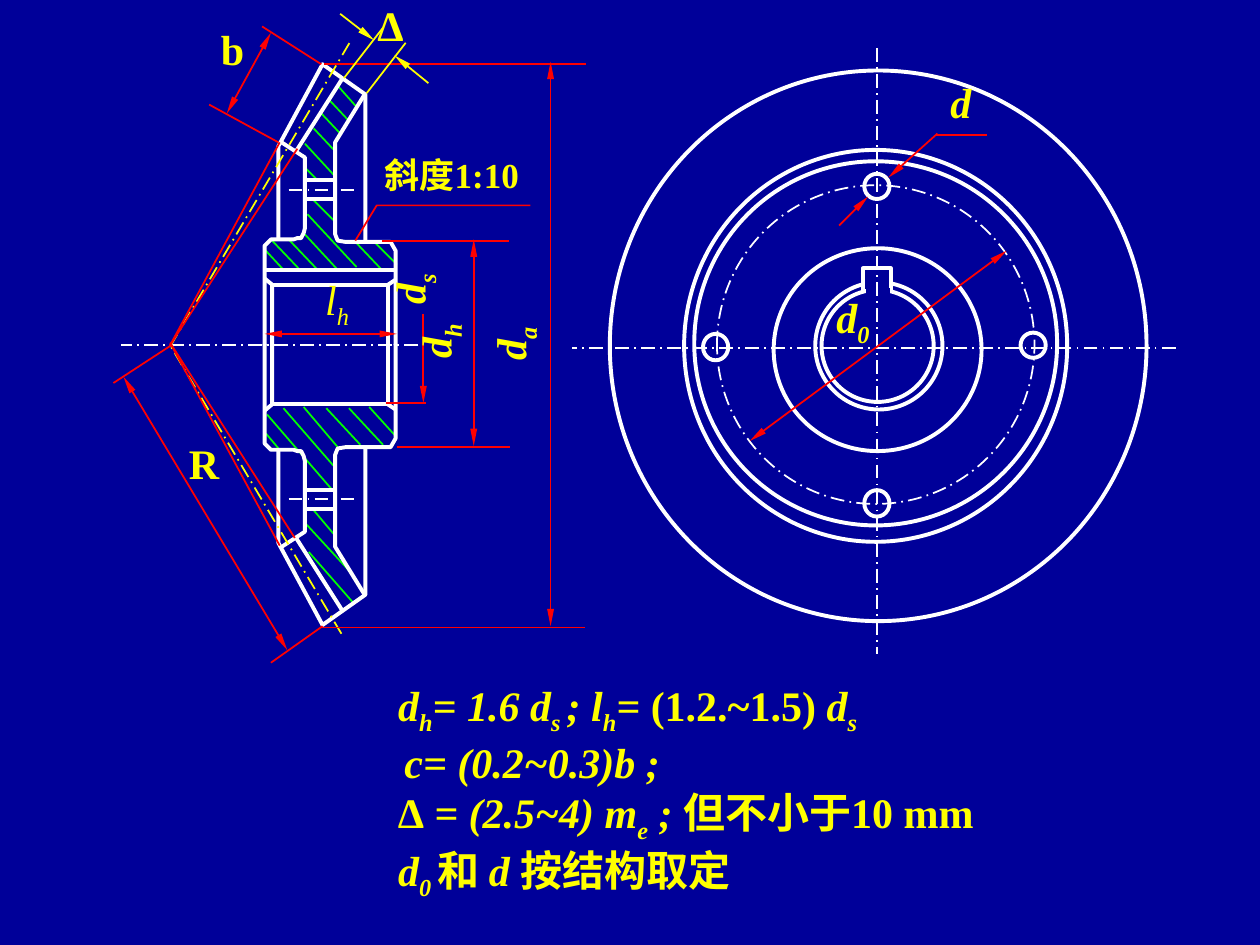
"""Build a slide showing a bevel gear in section and face view with its design rules."""
from dataclasses import dataclass

from lxml.etree import SubElement
from pptx import Presentation
from pptx.dml.color import RGBColor
from pptx.enum.dml import MSO_LINE_DASH_STYLE as Dash
from pptx.enum.shapes import MSO_CONNECTOR as Connector, MSO_SHAPE as Shape
from pptx.enum.text import MSO_AUTO_SIZE as AutoSize, PP_ALIGN as Align
from pptx.oxml.ns import qn
from pptx.util import Pt

PX = 9144
SLIDE = (1000, 750)
MIRROR = 547


@dataclass(frozen=True)
class Theme:
    back: str = "000099"
    edge: str = "FFFFFF"
    measure: str = "FF0000"
    hatch: str = "00FF00"
    label: str = "FFFF00"
    font: str = "Times New Roman"
    big: int = 24
    small: int = 20
    thick: float = 2.25
    thin: float = 1
    cover: float = 6


THEME = Theme()

RULES = [
    (0, [("d", "bi"), ("h", "bi_"), ("= 1.6 d", "bi"), ("s ", "bi_"), ("; l", "bi"),
         ("h", "bi_"), ("= ", "bi"), ("(1.2.~1.5)", "b"), (" d", "bi"), ("s", "bi_")]),
    (5, [("c= (0.2~0.3)b ;", "bi")]),
    (0, [("∆", "b"), (" = (2.5~4) m", "bi"), ("e", "bi_"), (" ; ", "bi"),
         ("但不小于10 mm", "b")]),
    (0, [("d", "bi"), ("0 ", "bi_"), ("和 ", "b"), ("d ", "bi"), ("按结构取定", "b")]),
]
RULES_BOX = (316, 539, 510, 187)

LABELS = [
    ((754, 61, 17, 45), 0, THEME.big, [("d", "bi")]),
    ((664, 231, 26, 51), 0, THEME.big, [("d", "bi"), ("0", "bi_")]),
    ((150, 347, 24, 45), 0, THEME.big, [("R", "b")]),
    ((175, 19, 19, 45), 0, THEME.big, [("b", "b")]),
    ((318, 204, 24, 51), 270, THEME.big, [("d", "bi"), ("s", "bi_")]),
    ((337, 245, 27, 51), 270, THEME.big, [("d", "bi"), ("h", "bi_")]),
    ((397, 247, 26, 51), 270, THEME.big, [("d", "bi"), ("a", "bi_")]),
    ((258, 217, 19, 51), 0, THEME.big, [("l", "i"), ("h", "i_")]),
    ((302, 122, 113, 39), 0, THEME.small, [("斜度1:10", "b")]),
    ((287, 0, 46, 40), 0, THEME.big, [("∆", "b")]),
]

BOLT_HOLES = [(810, 264, 20, 20), (686, 389, 20, 21), (686, 138, 20, 20), (558, 265, 20, 21)]
FACE_RINGS = [(484, 56, 426, 437), (543, 119, 304, 311), (551, 128, 288, 289),
              (614, 197, 165, 161), (647, 224, 101, 101), (652, 230, 89, 89)]
BOLT_CIRCLE = (569, 147, 252, 253)
KEYWAY = (685, 213, 22, 18)
KEYWAY_GAP = [(687, 233, 706, 233)]

FACE_AXES = [(696, 38, 696, 519), (933, 276, 454, 276)]
SECTION_AXES = [(332, 274, 96, 274), (229, 396, 283, 396), (229, 151, 283, 151)]
CONE_AXES = [(271, 503, 135, 274), (135, 275, 278, 33)]

HATCHING = [
    (268, 68, 284, 86), (261, 79, 277, 96), (255, 90, 271, 107), (249, 102, 265, 119),
    (242, 114, 266, 140), (243, 134, 252, 143), (249, 159, 266, 176), (283, 193, 302, 213),
    (298, 193, 315, 210), (244, 170, 283, 212), (242, 186, 267, 213), (230, 191, 251, 213),
    (216, 191, 237, 213), (211, 199, 224, 213), (293, 323, 313, 345), (277, 324, 304, 353),
    (225, 324, 265, 370), (241, 323, 269, 356), (259, 324, 286, 353), (212, 329, 263, 388),
    (249, 405, 265, 424), (243, 416, 279, 455), (245, 438, 280, 478), (211, 344, 222, 357),
]

HALF_OUTLINES = [
    [(221, 190), (221, 116), (256, 51), (290, 75), (290, 193)],
    [(314, 274), (314, 199), (310, 192), (274, 192), (268, 191), (266, 186), (266, 179),
     (266, 113), (290, 74)],
    [(210, 274), (210, 195), (215, 190), (233, 190), (236, 189), (239, 189), (241, 185),
     (242, 181), (242, 125), (222, 112)],
    [(216, 274), (216, 226), (210, 221)],
    [(308, 274), (308, 226), (314, 222)],
]
HALF_EDGES = [(216, 226, 308, 226), (242, 158, 266, 158), (242, 143, 266, 143),
              (235, 120, 272, 62)]
KEYWAY_EDGE = [(211, 214, 314, 214)]

CONE_LINES = [(222, 433, 136, 274), (234, 427, 135, 272), (222, 113, 135, 274),
              (135, 274, 236, 118)]
EXTENSIONS = [(255, 51, 208, 21), (221, 113, 166, 83), (257, 51, 465, 51),
              (255, 498, 464, 498), (303, 191, 404, 191), (315, 355, 405, 355),
              (306, 320, 338, 320), (256, 497, 215, 526), (136, 274, 90, 304),
              (743, 107, 783, 107)]
SPANS = [(180, 90, 215, 26), (437, 497, 437, 49), (376, 354, 376, 190),
         (228, 516, 98, 299), (210, 265, 315, 265), (595, 350, 799, 199)]
POINTERS = [(336, 249, 336, 320), (666, 179, 689, 156), (744, 106, 705, 141)]
TAPER_LEADER = [(282, 191), (299, 163), (421, 163)]
OFFSET_LINES = [(273, 62, 304, 22), (291, 74, 322, 34)]
OFFSET_POINTERS = [(270, 11, 297, 32), (340, 66, 313, 44)]


def emu(values):
    return [round(value * PX) for value in values]


def apply(target, values):
    for name, value in values.items():
        setattr(target, name, value)


def stroke(shape, color, width, dash=None):
    shape.line.color.rgb = RGBColor.from_string(color)
    apply(shape.line, {"width": Pt(width), "dash_style": dash})


def draw_lines(page, lines, color, width=THEME.thin, dash=None, ends=()):
    for line in lines:
        connector = page.shapes.add_connector(Connector.STRAIGHT, *emu(line))
        stroke(connector, color, width, dash)
        for end in ends:
            SubElement(connector.line._get_or_add_ln(), qn(f"a:{end}"),
                       type="triangle", w="sm", len="lg")
        SubElement(connector._element.spPr, qn("a:effectLst"))


def draw_outline(page, points, color, width):
    builder = page.shapes.build_freeform(*points[0], scale=PX)
    builder.add_line_segments(points[1:], close=False)
    outline = builder.convert_to_shape()
    outline.fill.background()
    outline.shadow.inherit = False
    stroke(outline, color, width)


def draw_preset(page, kind, place, width=THEME.thick, dash=None, fill=None):
    shape = page.shapes.add_shape(kind, *emu(place))
    shape.shadow.inherit = False
    if fill:
        shape.fill.solid()
        shape.fill.fore_color.rgb = RGBColor.from_string(fill)
    else:
        shape.fill.background()
    stroke(shape, THEME.edge, width, dash)


def write(para, spans, size):
    for text, style in spans:
        span = para.add_run()
        span.text = text
        apply(span.font, {"name": THEME.font, "size": Pt(size),
                          "bold": "b" in style, "italic": "i" in style})
        span.font.color.rgb = RGBColor.from_string(THEME.label)
        if "_" in style:
            span.font._element.set("baseline", "-25000")


def place_text(box, place, wrap):
    apply(box, dict(zip(("left", "top", "width", "height"), emu(place))))
    apply(box.text_frame, {"margin_left": 0, "margin_right": 0, "margin_top": 0,
                           "margin_bottom": 0, "word_wrap": wrap, "auto_size": AutoSize.NONE})


def write_rules(box):
    place_text(box, RULES_BOX, True)
    frame = box.text_frame
    for index, (indent, spans) in enumerate(RULES):
        para = frame.add_paragraph() if index else frame.paragraphs[0]
        properties = para._p.get_or_add_pPr()
        properties.set("marL", str(indent * PX))
        properties.set("indent", "0")
        SubElement(properties, qn("a:buNone"))
        para.space_before = Pt(0)
        write(para, spans, THEME.big)


def draw_face(page):
    for place in BOLT_HOLES + FACE_RINGS:
        draw_preset(page, Shape.OVAL, place)
    draw_preset(page, Shape.OVAL, BOLT_CIRCLE, THEME.thin, Dash.LONG_DASH_DOT)
    draw_preset(page, Shape.RECTANGLE, KEYWAY, fill=THEME.back)
    draw_lines(page, KEYWAY_GAP, THEME.back, THEME.cover)
    draw_lines(page, FACE_AXES, THEME.edge, dash=Dash.LONG_DASH_DOT)


def draw_section(page):
    draw_lines(page, HATCHING, THEME.hatch)
    draw_lines(page, SECTION_AXES, THEME.edge, dash=Dash.LONG_DASH_DOT)
    for points in HALF_OUTLINES:
        flipped = [(x, MIRROR - y) for x, y in points]
        for half in (points, flipped):
            draw_outline(page, half, THEME.edge, THEME.thick)
    flipped = [(x1, MIRROR - y1, x2, MIRROR - y2) for x1, y1, x2, y2 in HALF_EDGES]
    draw_lines(page, HALF_EDGES + flipped + KEYWAY_EDGE, THEME.edge, THEME.thick)


def draw_dimensions(page):
    draw_lines(page, CONE_AXES, THEME.label, dash=Dash.LONG_DASH_DOT)
    draw_lines(page, CONE_LINES + EXTENSIONS, THEME.measure)
    draw_lines(page, SPANS, THEME.measure, ends=("headEnd", "tailEnd"))
    draw_lines(page, POINTERS, THEME.measure, ends=("tailEnd",))
    draw_outline(page, TAPER_LEADER, THEME.measure, THEME.thin)
    draw_lines(page, OFFSET_LINES, THEME.label)
    draw_lines(page, OFFSET_POINTERS, THEME.label, ends=("tailEnd",))
    for place, angle, size, spans in LABELS:
        box = page.shapes.add_textbox(*emu(place))
        place_text(box, place, False)
        box.rotation = angle
        para = box.text_frame.paragraphs[0]
        para.alignment = Align.CENTER
        write(para, spans, size)


def main():
    deck = Presentation()
    apply(deck, dict(zip(("slide_width", "slide_height"), emu(SLIDE))))
    page = deck.slides.add_slide(deck.slide_layouts[1])
    page.background.fill.solid()
    page.background.fill.fore_color.rgb = RGBColor.from_string(THEME.back)
    title = page.shapes.title._element
    title.getparent().remove(title)
    write_rules(page.placeholders[1])
    draw_face(page)
    draw_section(page)
    draw_dimensions(page)
    deck.save("out.pptx")


if __name__ == "__main__":
    main()
